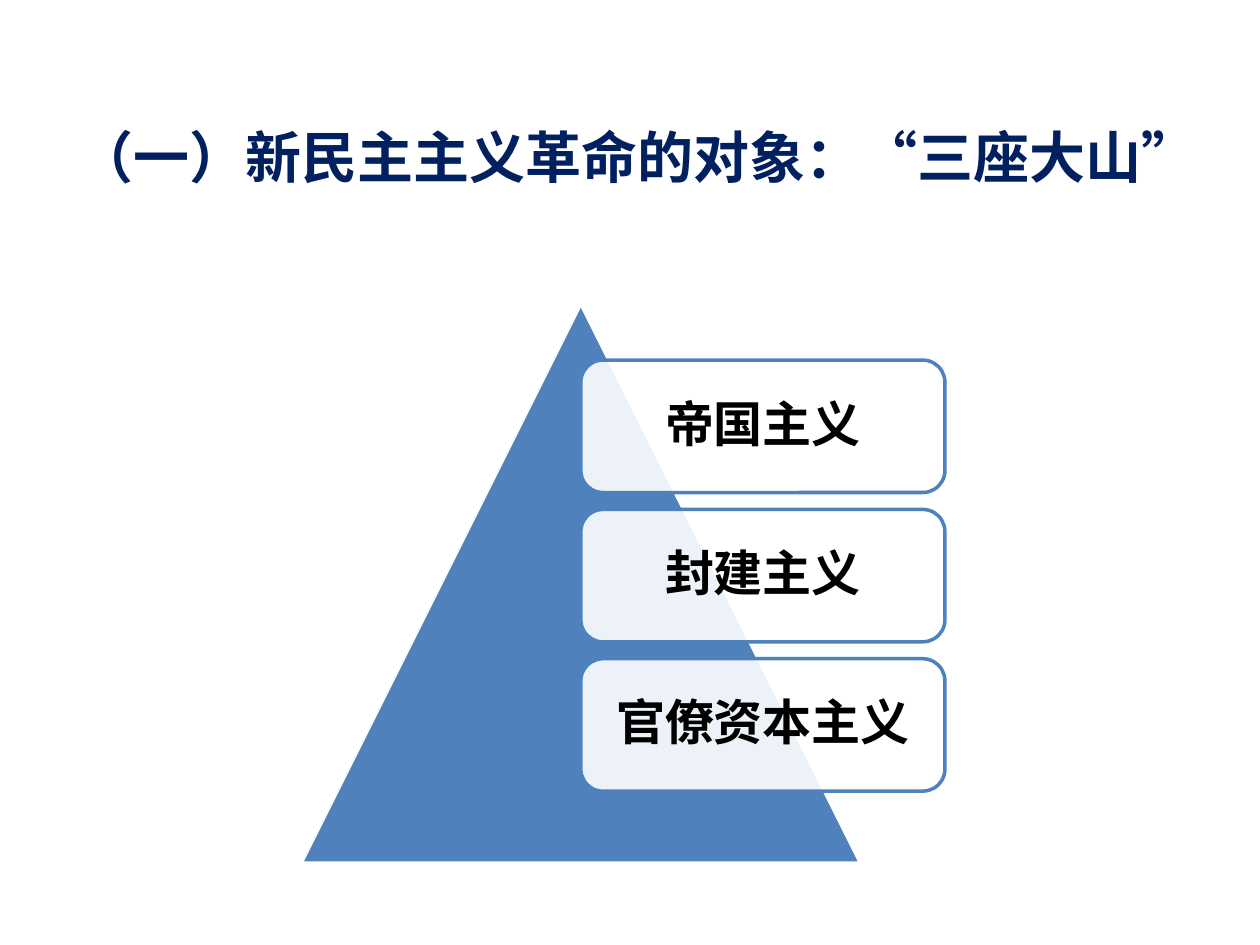
from dataclasses import dataclass

from lxml.etree import SubElement
from pptx import Presentation
from pptx.dml.color import RGBColor
from pptx.enum.shapes import MSO_SHAPE
from pptx.enum.text import MSO_ANCHOR, MSO_AUTO_SIZE, PP_ALIGN
from pptx.oxml.ns import qn
from pptx.util import Cm, Pt


@dataclass(frozen=True)
class Theme:
    blue: RGBColor = RGBColor(0x4F, 0x81, 0xBD)
    navy: RGBColor = RGBColor(0x00, 0x20, 0x60)
    white: RGBColor = RGBColor(0xFF, 0xFF, 0xFF)
    black: RGBColor = RGBColor(0x00, 0x00, 0x00)
    latin_font: str = "Calibri"
    chinese_font: str = "Noto Sans CJK JP"
    title_size: Pt = Pt(32)
    label_size: Pt = Pt(28)
    line_width: Pt = Pt(2)
    label_opacity: int = 90


class SlideBuilder:
    def __init__(self, page, theme):
        self.page = page
        self.theme = theme

    def add_span(self, para, text, font, size, color):
        span = para.add_run()
        span.text = text
        span.font.name = font
        span.font.size = size
        span.font.bold = True
        span.font.color.rgb = color
        east_asian = SubElement(span.font._element, qn("a:ea"))
        east_asian.set("typeface", self.theme.chinese_font)

    def add_title(self, text, left, top, width, height):
        box = self.page.shapes.title
        box.left, box.top, box.width, box.height = map(Cm, (left, top, width, height))
        frame = box.text_frame
        frame.word_wrap = True
        frame.auto_size = MSO_AUTO_SIZE.SHAPE_TO_FIT_TEXT
        frame.vertical_anchor = MSO_ANCHOR.TOP
        para = frame.paragraphs[0]
        para.alignment = PP_ALIGN.LEFT
        self.add_span(para, text, self.theme.chinese_font,
                      self.theme.title_size, self.theme.navy)

    def add_shape(self, kind, left, top, width, height, fill, line):
        shape = self.page.shapes.add_shape(kind, *map(Cm, (left, top, width, height)))
        shape.shadow.inherit = False
        shape.fill.solid()
        shape.fill.fore_color.rgb = fill
        shape.line.color.rgb = line
        shape.line.width = self.theme.line_width
        return shape

    def add_mountain(self, left, top, size):
        self.add_shape(MSO_SHAPE.ISOSCELES_TRIANGLE, left, top, size, size,
                       self.theme.blue, self.theme.white)

    def add_label(self, text, left, top, width, height):
        box = self.add_shape(MSO_SHAPE.ROUNDED_RECTANGLE, left, top, width, height,
                             self.theme.white, self.theme.blue)
        # Let the mountain show faintly through the label
        color = box._element.spPr.find(qn("a:solidFill"))[0]
        SubElement(color, qn("a:alpha")).set("val", str(self.theme.label_opacity * 1000))

        frame = box.text_frame
        frame.word_wrap = True
        frame.vertical_anchor = MSO_ANCHOR.MIDDLE
        frame.margin_left = frame.margin_right = Cm(0.3)
        frame.margin_top = frame.margin_bottom = Cm(0.3)
        para = frame.paragraphs[0]
        para.alignment = PP_ALIGN.CENTER
        para.line_spacing = 0.9
        self.add_span(para, text, self.theme.latin_font,
                      self.theme.label_size, self.theme.black)


def main():
    deck = Presentation()
    deck.slide_width, deck.slide_height = Cm(25.4), Cm(19.05)
    title_only = deck.slide_layouts[5]
    builder = SlideBuilder(deck.slides.add_slide(title_only), Theme())

    # Heading
    builder.add_title("（一）新民主主义革命的对象：“三座大山”", 1.3, 2.34, 23.19, 1.63)

    # Mountain, with the labels starting at its centre line
    mountain_left, mountain_size = 6.07, 11.28
    builder.add_mountain(mountain_left, 6.12, mountain_size)

    # Three labels at an equal pitch
    label_left = mountain_left + mountain_size / 2
    first_top, pitch = 7.26, 3.01
    for row, name in enumerate(("帝国主义", "封建主义", "官僚资本主义")):
        builder.add_label(name, label_left, first_top + row * pitch, 7.34, 2.67)

    deck.save("out.pptx")


if __name__ == "__main__":
    main()
